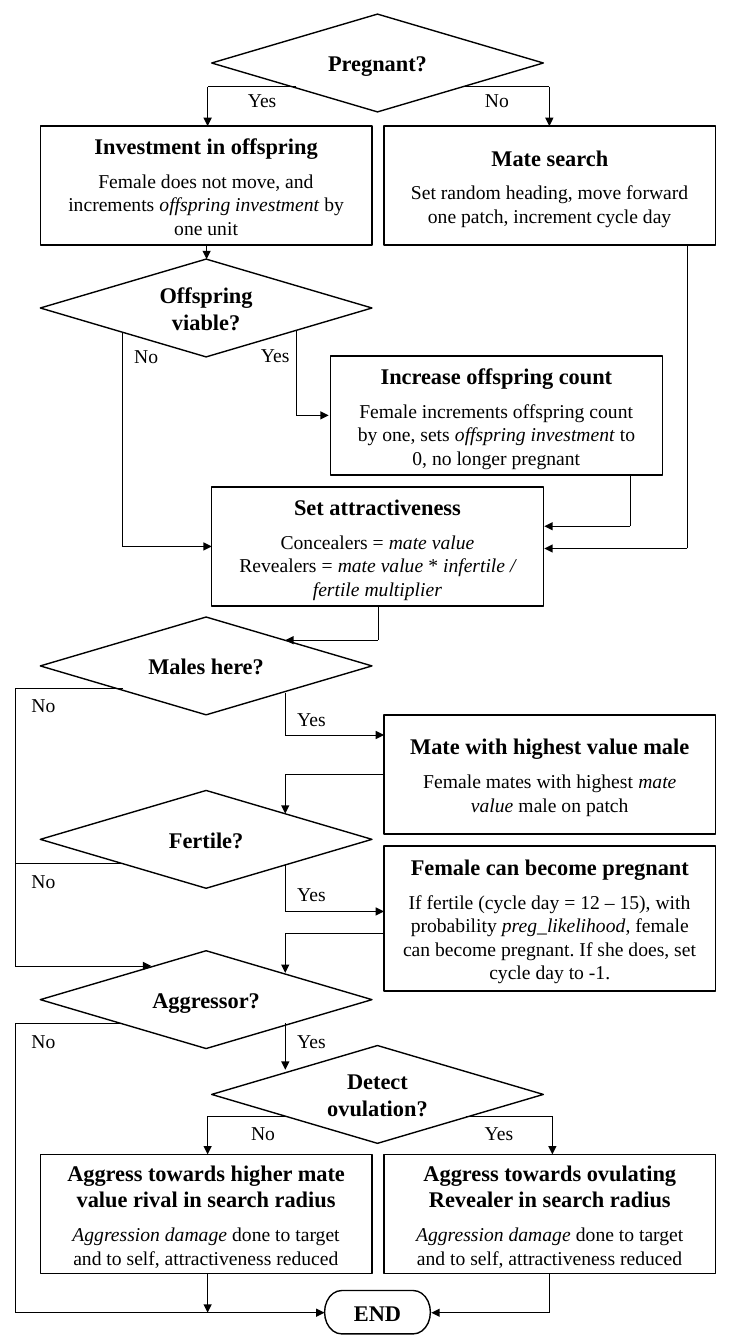
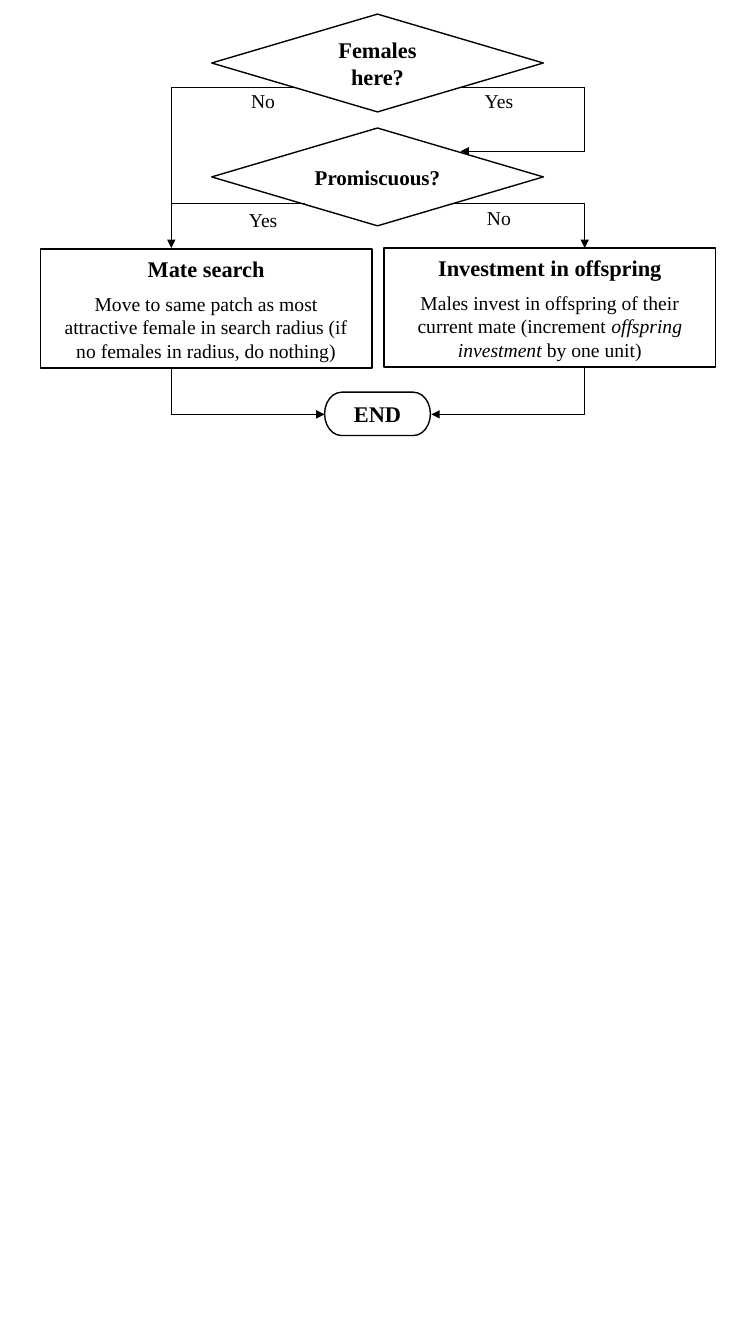
from dataclasses import dataclass
from lxml.etree import SubElement
from pptx import Presentation
from pptx.dml.color import RGBColor
from pptx.enum.shapes import MSO_CONNECTOR, MSO_SHAPE
from pptx.enum.text import MSO_ANCHOR, PP_ALIGN
from pptx.oxml.ns import qn
from pptx.util import Inches, Pt


@dataclass(frozen=True)
class Theme:
    """Colours, type sizes and line widths of both charts."""
    ink: RGBColor = RGBColor(0, 0, 0)
    face: str = "Times New Roman"
    head: float = 16
    body: float = 14
    gap: float = 7
    edge: float = 1
    wire: float = 0.5


LOOK = Theme()
# The grid has 75 columns and 133.3 rows of a tenth of an inch each.
COLS, ROWS, CELL = 75, 133.3, Inches(0.1)
LEFT, MID, RIGHT = 4, 21, 38.1
WIDE, DEEP, TALL = 32.9, 9.7, 11.8
END_X, END_W, END_H = 32.2, 10.5, 4.3
RAIL = 1.5
PAD = {"margin_left": Inches(0.18), "margin_right": Inches(0.18),
       "margin_top": Inches(0.09), "margin_bottom": Inches(0.09)}


def grid(*cells):
    """Turn grid cells into lengths."""
    return [int(cell * CELL) for cell in cells]


def style(item, form):
    """Set each format value on an item."""
    for name, value in form.items():
        setattr(item, name, value)


def write(para, text, size, bold=False, gap=0):
    """Fill a centred paragraph; bars switch italics on and off."""
    style(para, {"alignment": PP_ALIGN.CENTER, "space_before": Pt(gap)})
    for turn, part in enumerate(text.split("|")):
        if part:
            run = para.add_run()
            run.text = part
            style(run.font, {"name": LOOK.face, "size": Pt(size),
                             "bold": bold, "italic": turn % 2 == 1})
            run.font.color.rgb = LOOK.ink


def node(slide, kind, area, title, size=LOOK.head, pad=PAD):
    """Draw an outlined shape with a bold title and return its text frame."""
    shape = slide.shapes.add_shape(kind, *grid(*area))
    shape.shadow.inherit = False
    shape.fill.background()
    shape.line.color.rgb = LOOK.ink
    shape.line.width = Pt(LOOK.edge)
    frame = shape.text_frame
    style(frame, {"word_wrap": True, "vertical_anchor": MSO_ANCHOR.MIDDLE, **pad})
    write(frame.paragraphs[0], title, size, bold=True)
    return frame


def ask(slide, x, y, title, size=LOOK.head):
    """Draw a decision."""
    node(slide, MSO_SHAPE.FLOWCHART_DECISION, (x, y, WIDE, DEEP), title, size)


def step(slide, x, y, title, *lines, tall=TALL):
    """Draw a process with its title and body lines."""
    frame = node(slide, MSO_SHAPE.FLOWCHART_PROCESS, (x, y, WIDE, tall), title)
    for count, line in enumerate(lines):
        write(frame.add_paragraph(), line, LOOK.body, gap=0 if count else LOOK.gap)


def stop(slide, y):
    """Draw the terminator."""
    node(slide, MSO_SHAPE.FLOWCHART_TERMINATOR, (END_X, y, END_W, END_H), "END", pad={})


def tag(slide, text, x, y):
    """Label a branch."""
    frame = slide.shapes.add_textbox(*grid(x, y, 5.2, 3.4)).text_frame
    frame.word_wrap = False
    write(frame.paragraphs[0], text, LOOK.body)


def wire(slide, start, end, tip):
    """Draw one straight line, with an arrowhead if it is a tip."""
    line = slide.shapes.add_connector(MSO_CONNECTOR.STRAIGHT, *grid(*start, *end))
    line.line.color.rgb = LOOK.ink
    line.line.width = Pt(LOOK.wire)
    if tip:
        SubElement(line.line._get_or_add_ln(), qn("a:tailEnd"), type="triangle")
    SubElement(line._element.spPr, qn("a:effectLst"))


def route(slide, axis, x, y, *turns, tip=True):
    """Run from x, y through turns, across (h) and down (v) by turns."""
    for count, turn in enumerate(turns, 1):
        end = (turn, y) if axis == "h" else (x, turn)
        wire(slide, (x, y), end, tip and count == len(turns))
        (x, y), axis = end, "v" if axis == "h" else "h"


def draw(deck, asks, steps, end, routes, tags):
    """Build one flow chart on a blank slide."""
    slide = deck.slides.add_slide(deck.slide_layouts[6])
    for item in asks:
        ask(slide, *item)
    for item in steps:
        step(slide, *item)
    stop(slide, end)
    for item in routes:
        route(slide, *item)
    for item in tags:
        tag(slide, *item)
    return slide


def female(deck):
    """Draw the chart of the female's choices."""
    harm = "|Aggression damage |done to target and to self, attractiveness reduced"
    asks = [
        (MID, 1.4, "Pregnant?"),
        (LEFT, 25.7, "Offspring viable?"),
        (LEFT, 61.2, "Males here?"),
        (LEFT, 78.4, "Fertile?"),
        (LEFT, 94.3, "Aggressor?"),
        (MID, 103.7, "Detect ovulation?"),
    ]
    steps = [
        (LEFT, 12.5, "Investment in offspring",
         "Female does not move, and increments |offspring investment |by one unit"),
        (RIGHT, 12.5, "Mate search",
         "Set random heading, move forward one patch, increment cycle day"),
        (32.8, 35.3, "Increase offspring count",
         "Female increments offspring count by one, sets "
         "|offspring investment |to 0, no longer pregnant"),
        (MID, 48.3, "Set attractiveness", "Concealers = |mate value|",
         "Revealers = |mate value |* |infertile / fertile multiplier|"),
        (RIGHT, 70.9, "Mate with highest value male",
         "Female mates with highest |mate value| male on patch"),
        (LEFT, 114.5, "Aggress towards higher mate value rival in search radius", harm),
        (RIGHT, 114.5, "Aggress towards ovulating Revealer in search radius", harm),
    ]
    routes = [
        ("h", 29.4, 8.6, 20.6, 12.5),
        ("h", 46, 8.6, 54.5, 12.5),
        ("v", 20.5, 24.3, 25.7),
        ("v", 12.1, 32.9, 54.2, MID),
        ("v", 29.4, 32.8, 41.2, 32.6),
        ("v", 62.5, 47.1, 52.2, 54),
        ("v", 68.2, 24.3, 54.4, 54),
        ("v", 37.5, 60.1, 63.5, 28.3),
        ("v", 28.3, 68.7, 72.9, RIGHT),
        ("h", RIGHT, 76.8, 28.3, 80.7),
        ("v", 28.3, 85.8, 90.4, RIGHT),
        ("h", RIGHT, 92.6, 28.3, 96.5),
        ("v", 28.3, 101.5, 106.1),
        ("h", 12.2, 68.3, RAIL, 95.8, 15),
        ("h", 12.2, 101.5, RAIL, 130.2, END_X),
        ("h", 28.3, 110.7, 20.6, 114.5),
        ("h", 46.2, 110.7, 54.8, 114.5),
        ("v", 20.6, 126.3, 130.2),
        ("v", 54.5, 126.3, 130.2, 42.8),
    ]
    tags = [("Yes", 23.4, 8.2), ("No", 46.7, 8.2),
            ("No", 11.9, 33.6), ("Yes", 24.7, 33.5),
            ("No", 23.5, 110.7), ("Yes", 46.9, 110.7)]
    tags += [("Yes", 28.3, y) for y in (69.6, 87, 101.6)]
    tags += [("No", 1.7, y) for y in (68.2, 85.7, 101.6)]
    slide = draw(deck, asks, steps, 128, routes, tags)
    step(slide, RIGHT, 83.9, "Female can become pregnant",
         "If fertile (cycle day = 12 – 15), with probability |preg_likelihood|, "
         "female can become pregnant. If she does, set cycle day to -1.", tall=14.4)
    route(slide, "h", 12.2, 85.6, RAIL, tip=False)


def male(deck):
    """Draw the chart of the male's choices."""
    west, east = 17, 58
    asks = [(MID, 1.4, "Females here?"), (MID, 12.7, "Promiscuous?", 15)]
    steps = [
        (LEFT, 24.7, "Mate search",
         "Move to same patch as most attractive female in search radius "
         "(if no females in radius, do nothing)"),
        (RIGHT, 24.6, "Investment in offspring",
         "Males invest in offspring of their current mate "
         "(increment |offspring investment| by one unit)"),
    ]
    routes = [
        ("h", 29.3, 8.7, west, 24.6),
        ("h", 45.7, 8.7, east, 15, 45.7),
        ("h", 44.9, 20.2, east, 24.6),
        ("v", west, 36.4, 41.1, END_X),
        ("v", east, 36.4, 41.1, 42.8),
    ]
    tags = [("No", 23.5, 8.3), ("Yes", 46.9, 8.3),
            ("Yes", 23.5, 20.1), ("No", 46.9, 19.9)]
    slide = draw(deck, asks, steps, 38.9, routes, tags)
    route(slide, "h", 30.3, 20.2, west, tip=False)


def main():
    """Build both slides and save them."""
    deck = Presentation()
    deck.slide_width, deck.slide_height = grid(COLS, ROWS)
    female(deck)
    male(deck)
    deck.save("out.pptx")


main()
